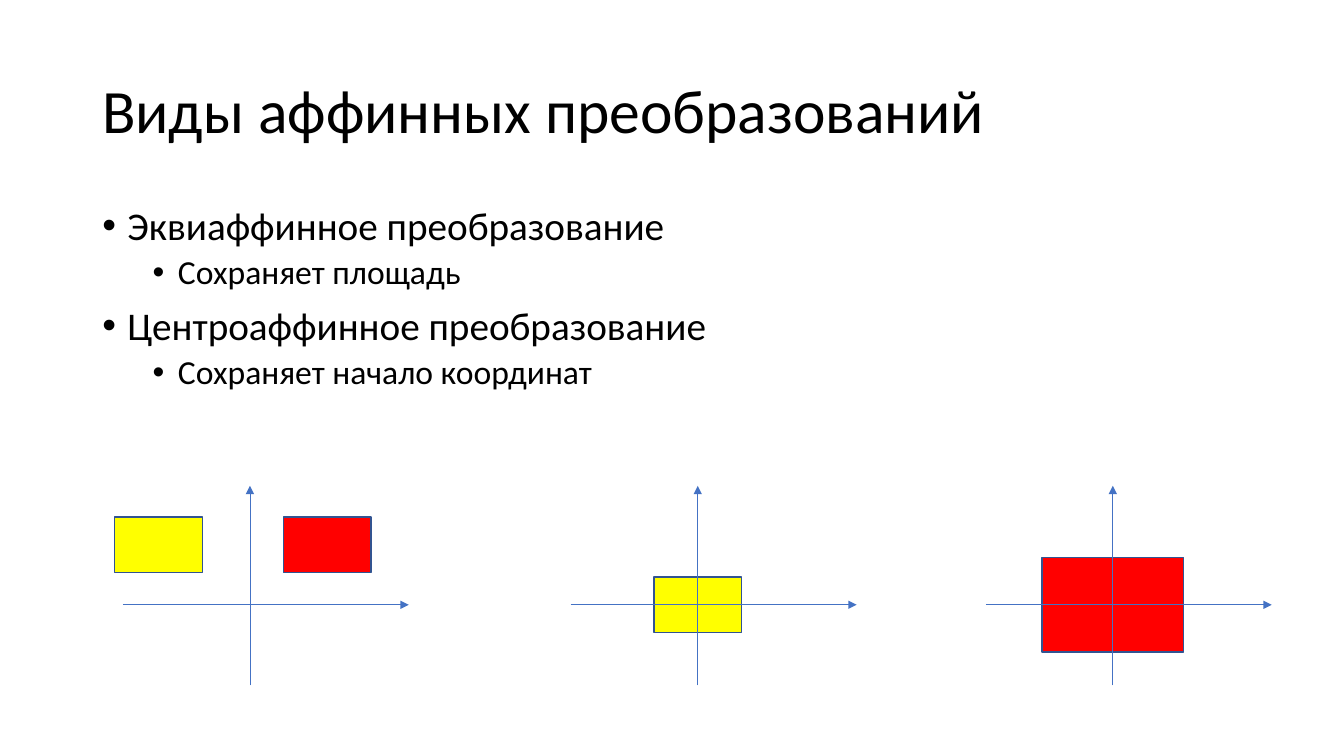
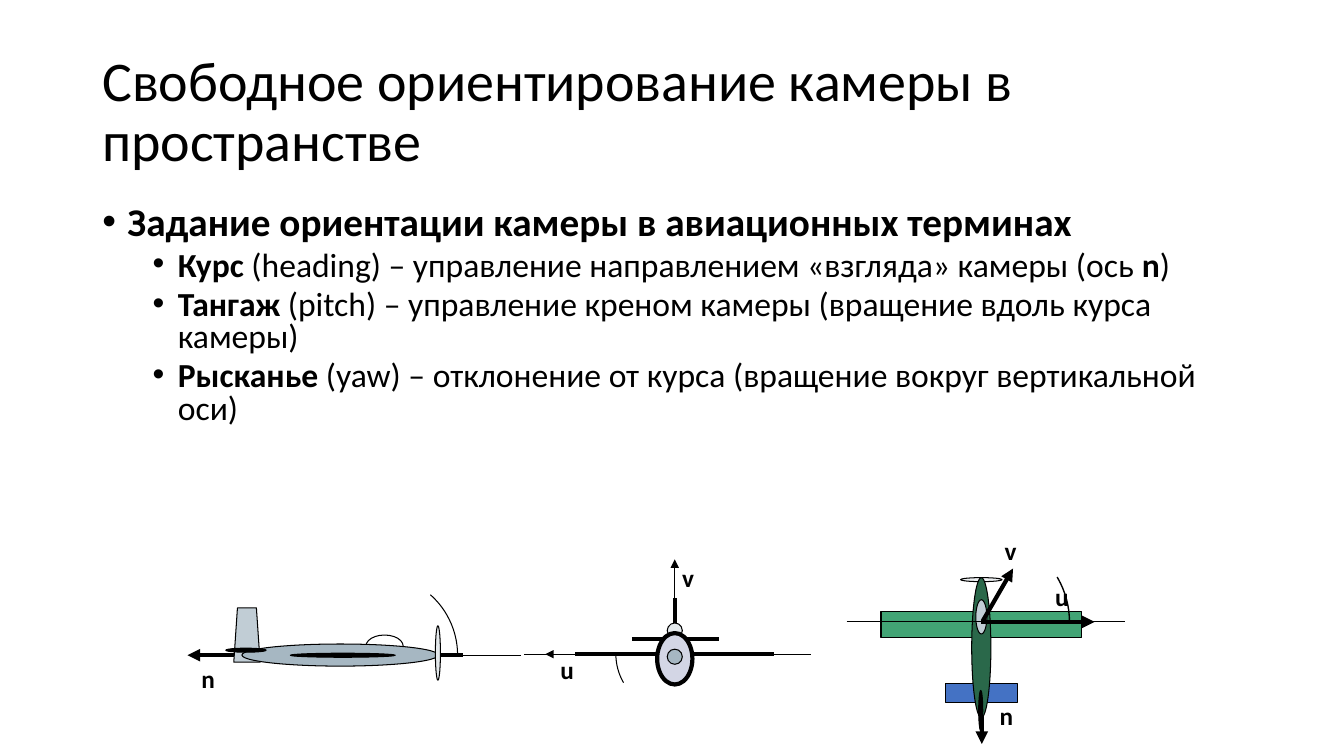
"""Build two slides on affine transformations and camera orientation."""
from lxml import etree
from pptx import Presentation
from pptx.dml.color import RGBColor
from pptx.enum import shapes, text
from pptx.oxml import ns
from pptx.util import Pt

COLORS = {
    "black": "000000", "yellow": "FFFF00", "red": "FF0000", "outline": "325491",
    "blue": "4472C4", "fin": "C1CDD5", "hull": "A6B7C2", "pale": "E4E9EC",
    "nose": "D3D6E5", "wing": "42A475", "green": "2A684A",
}
FONT = "Calibri"
TITLE_BOX = (66, 28.8, 828, 104.4)
BODY_BOX = (66, 144, 828, 342)
BODY_LEVELS = [
    {"size": 28, "before": 10, "indent": 18},
    {"size": 24, "before": 5, "indent": 54},
]
OVAL = shapes.MSO_SHAPE.OVAL
RECT = shapes.MSO_SHAPE.RECTANGLE
ARC = shapes.MSO_SHAPE.ARC
TRAPEZOID = shapes.MSO_SHAPE.TRAPEZOID
LINE = shapes.MSO_CONNECTOR.STRAIGHT


def write(slide, box, paragraphs, size=18, bold=False, spacing=1.0, middle=False, wrap=True, bullets=False):
    """Write (level, text) paragraphs, where asterisks enclose bold words."""
    frame = slide.shapes.add_textbox(*map(Pt, box)).text_frame
    frame.word_wrap = wrap
    frame.vertical_anchor = text.MSO_ANCHOR.MIDDLE if middle else text.MSO_ANCHOR.TOP
    for index, (level, content) in enumerate(paragraphs):
        paragraph = frame.add_paragraph() if index else frame.paragraphs[0]
        paragraph.line_spacing = spacing
        style = BODY_LEVELS[level] if bullets else {"size": size}
        if bullets:
            paragraph.level = level
            if index:
                paragraph.space_before = Pt(style["before"])
            properties = paragraph._p.get_or_add_pPr()
            properties.set("marL", str(Pt(style["indent"])))
            properties.set("indent", str(Pt(-18)))
            etree.SubElement(properties, ns.qn("a:buFont"), typeface="Arial")
            etree.SubElement(properties, ns.qn("a:buChar"), char="•")
        for position, words in enumerate(content.split("*")):
            if words:
                run = paragraph.add_run()
                run.text = words
                run.font.name = FONT
                run.font.size = Pt(style["size"])
                run.font.bold = bold or position % 2 == 1
                run.font.color.rgb = RGBColor.from_string(COLORS["black"])


def draw(slide, kind, box, fill=None, line="black", width=0.75, arrow=False, adjust=(), alpha=None):
    """Draw a line from point to point, or a preset shape in a box."""
    if kind is LINE:
        item = slide.shapes.add_connector(kind, *map(Pt, box))
    else:
        item = slide.shapes.add_shape(kind, *map(Pt, box))
        item.shadow.inherit = False
        for index, value in enumerate(adjust):
            item.adjustments[index] = value
        if fill:
            item.fill.solid()
            item.fill.fore_color.rgb = RGBColor.from_string(COLORS[fill])
        else:
            item.fill.background()
    item.line.color.rgb = RGBColor.from_string(COLORS[line])
    item.line.width = Pt(width)
    properties = item._element.spPr
    if arrow:
        etree.SubElement(properties.find(ns.qn("a:ln")), ns.qn("a:tailEnd"), type="triangle")
    if kind is LINE:
        etree.SubElement(properties, ns.qn("a:effectLst"))
    if alpha:
        tint = properties.find(ns.qn("a:solidFill"))[0]
        etree.SubElement(tint, ns.qn("a:alpha"), val=str(alpha * 1000))


deck = Presentation()
deck.slide_width, deck.slide_height = Pt(960), Pt(540)
pages = [
    ("Виды аффинных преобразований", 44, 0.9, [
        (0, "Эквиаффинное преобразование"),
        (1, "Сохраняет площадь"),
        (0, "Центроаффинное преобразование"),
        (1, "Сохраняет начало координат"),
    ]),
    ("Свободное ориентирование камеры в пространстве", 40, 0.8, [
        (0, "*Задание ориентации камеры в авиационных терминах*"),
        (1, "*Курс* (heading) – управление направлением «взгляда» камеры (ось *n*)"),
        (1, "*Тангаж* (pitch) – управление креном камеры (вращение вдоль курса камеры)"),
        (1, "*Рысканье* (yaw) – отклонение от курса (вращение вокруг вертикальной оси)"),
    ]),
]
for title, title_size, body_spacing, body in pages:
    slide = deck.slides.add_slide(deck.slide_layouts[6])
    write(slide, TITLE_BOX, [(0, title)], size=title_size, spacing=0.9, middle=True)
    write(slide, BODY_BOX, body, spacing=body_spacing, bullets=True)
affine, camera = deck.slides

axis_y = 432
plots = [
    (178.5, [("yellow", -65.2, -42.8, 62.6, 39.6), ("red", 55.2, -42.8, 62.6, 39.6)]),
    (498.4, [("yellow", 0, 0, 62.6, 39.6)]),
    (794.9, [("red", 0, 0, 101, 67.7)]),
]
for axis_x, figures in plots:
    for color, dx, dy, width, height in figures:
        corner = (axis_x + dx - width / 2, axis_y + dy - height / 2)
        draw(affine, RECT, (*corner, width, height), fill=color, line="outline", width=1)
    for axis in [(axis_x - 90.7, axis_y, axis_x + 113.5, axis_y), (axis_x, 489.6, axis_x, 347)]:
        draw(affine, LINE, axis, line="blue", width=0.5, arrow=True)

thin = {}
thick = {"width": 3}
pointer = {"arrow": True}
thick_pointer = {"width": 3, "arrow": True}
front_view = [
    (LINE, (374.4, 467.3, 579, 467.3), thin),
    (LINE, (579, 467.3, 389.5, 467.3), pointer),
    (LINE, (451.4, 456.5, 513.4, 456.5), thick),
    (LINE, (411, 467.3, 553, 467.3), thick),
    (OVAL, (476.6, 445, 10.8, 10.8), {"fill": "pale"}),
    (OVAL, (469.4, 452.2, 25.2, 36.7), {"fill": "nose", "width": 3}),
    (OVAL, (476.6, 463.7, 10.8, 10.8), {"fill": "hull"}),
    (LINE, (482, 445, 482, 427), thick),
    (LINE, (482, 435.6, 482, 399.6), pointer),
]
side_view = [
    (LINE, (218.2, 468, 372.2, 468), thin),
    (LINE, (330.5, 468, 133.9, 468), thick_pointer),
    (TRAPEZOID, (167, 434.2, 18.8, 38.8), {"fill": "fin", "adjust": [0.14]}),
    (OVAL, (261.4, 453.6, 26.6, 15.8), thin),
    (OVAL, (172.8, 460, 140.4, 15.8), {"fill": "hull"}),
    (OVAL, (207.4, 466.6, 74.9, 2.9), {"fill": "black"}),
    (OVAL, (161.3, 463, 28.8, 2.9), {"fill": "black"}),
    (OVAL, (311, 447, 3.6, 38.9), {"fill": "pale"}),
]
top_view = [
    (LINE, (701.3, 444.2, 701.3, 531.4), thick_pointer),
    (OVAL, (686.2, 412.6, 29.5, 2.9), {"fill": "pale", "alpha": 62}),
    (RECT, (675.4, 488.2, 51.1, 13.7), {"fill": "blue"}),
    (RECT, (629.3, 437, 143.3, 18.7), {"fill": "wing"}),
    (OVAL, (694.1, 412.6, 13.7, 100), {"fill": "green"}),
    (OVAL, (697, 428.4, 7.9, 24.5), {"fill": "fin"}),
    (OVAL, (699.1, 493.2, 2.9, 28.8), {"fill": "black"}),
    (LINE, (700.6, 444.2, 781.9, 444.2), thick_pointer),
    (LINE, (702, 443.5, 723.6, 406.1), thick_pointer),
    (LINE, (604.8, 444.2, 803.5, 444.2), thin),
]
for kind, box, look in front_view + side_view + top_view:
    draw(camera, kind, box, **look)

turns = [
    (480.2, 467.3, 40.3, 149.7, 180, 0.75),
    (269.3, 468, 57.6, 311.5, 0, 0.75),
    (701.3, 444.2, 62.6, 329.3, 0, 1),
]
for x, y, radius, start, end, width in turns:
    circle = (x - radius, y - radius, 2 * radius, 2 * radius)
    draw(camera, ARC, circle, width=width, adjust=[start * 0.6, end * 0.6])

axis_labels = [
    ("v", 480.2, 398.2), ("u", 393.1, 463.7), ("n", 136.8, 470.2),
    ("u", 746.6, 411.8), ("n", 707, 496.8), ("v", 710.6, 378.7),
]
for letter, left, top in axis_labels:
    write(camera, (left, top, 26, 28.8), [(0, letter)], bold=True, wrap=False)

deck.save("out.pptx")
